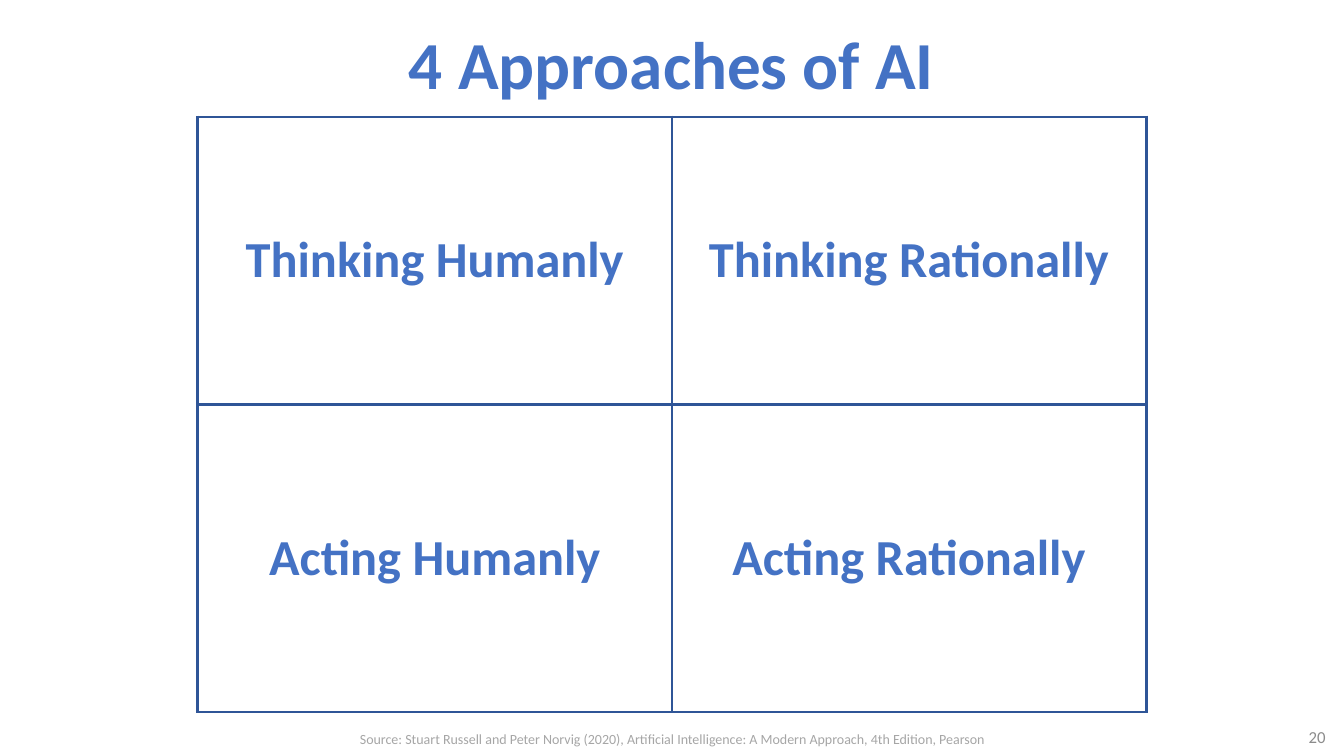
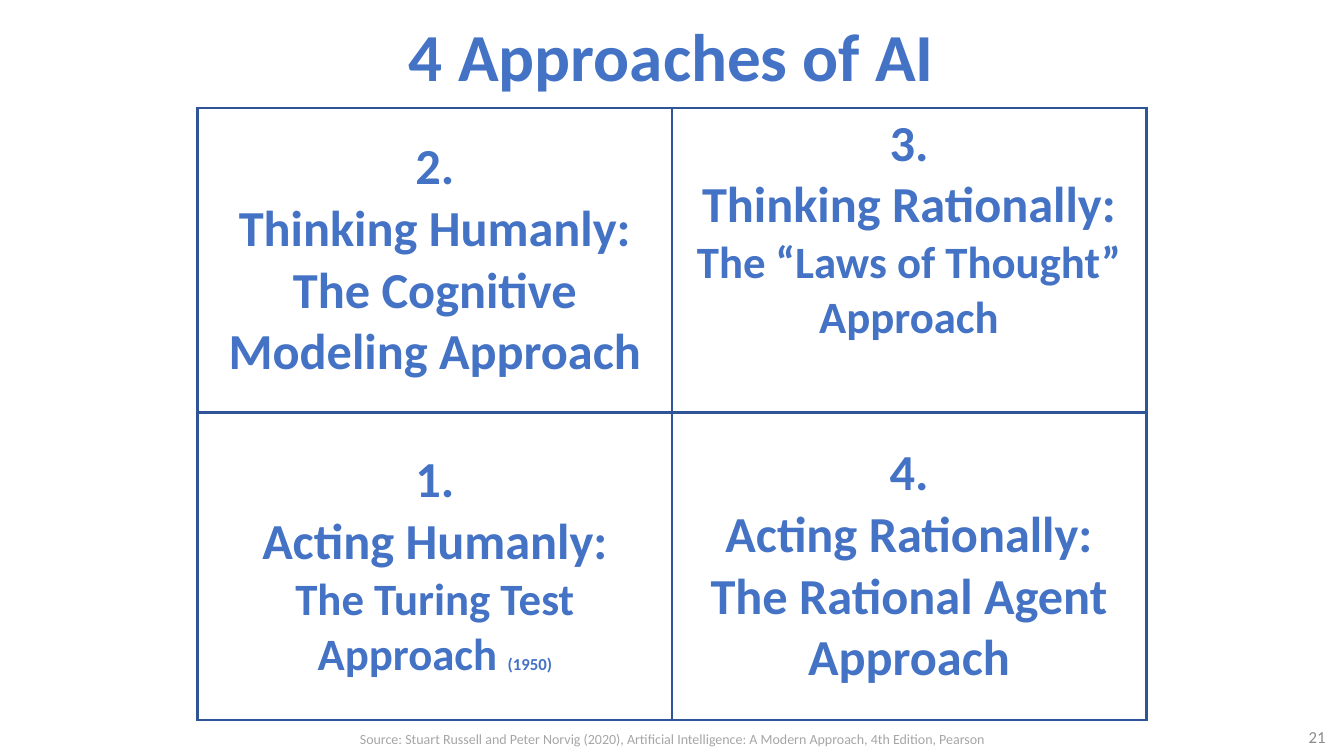
"""Builds two slides on the four approaches of AI."""
from lxml.etree import SubElement
from pptx import Presentation
from pptx.dml.color import RGBColor
from pptx.enum.text import MSO_ANCHOR as Anchor, PP_ALIGN as Align
from pptx.oxml.ns import qn
from pptx.util import Cm, Pt

BLUE, NAVY, GREY, SILVER, WHITE = "4472C4", "2F5597", "8C8C8C", "A6A6A6", "FFFFFF"
FONT = "Calibri"
SLIDE_W, SLIDE_H = 33.87, 19.05
SOURCE = ("Source: Stuart Russell and Peter Norvig (2020), Artificial Intelligence: "
          "A Modern Approach, 4th Edition, Pearson")


def rgb(code):
    return RGBColor.from_string(code)


def write(frame, text, size=36, color=BLUE, bold=True, align=Align.CENTER):
    paragraphs = [text] if isinstance(text, str) else text
    for index, runs in enumerate(paragraphs):
        paragraph = frame.add_paragraph() if index else frame.paragraphs[0]
        paragraph.alignment = align
        for piece in [runs] if isinstance(runs, (str, tuple)) else runs:
            words, run_size = piece if isinstance(piece, tuple) else (piece, size)
            run = paragraph.add_run()
            run.text = words
            run.font.name = FONT
            run.font.size = Pt(run_size)
            run.font.bold = bold
            run.font.color.rgb = rgb(color)


def outline(cell, color=NAVY, width=2.25):
    properties = cell._tc.get_or_add_tcPr()
    for index, side in enumerate(("a:lnL", "a:lnR", "a:lnT", "a:lnB")):
        line = SubElement(properties, qn(side), w=str(Pt(width)))
        fill = SubElement(line, qn("a:solidFill"))
        SubElement(fill, qn("a:srgbClr"), val=color)
        properties.insert(index, line)


class Deck:
    def __init__(self):
        self.prs = Presentation()
        self.prs.slide_width, self.prs.slide_height = Cm(SLIDE_W), Cm(SLIDE_H)
        self.slide = None

    def new_slide(self, number, title_top):
        self.slide = self.prs.slides.add_slide(self.prs.slide_layouts[6])
        self.text("4 Approaches of AI", 5.5, title_top, 22.86, 2.51, size=48)
        self.text(number, 30.99, 18.24, 2.67, 0.66, size=12, color=GREY,
                  bold=False, align=Align.RIGHT)
        self.text(SOURCE, 7.24, 18.29, 19.4, 0.69, anchor=Anchor.TOP,
                  size=10, color=SILVER, bold=False)

    def text(self, text, left, top, width, height, anchor=Anchor.MIDDLE, **style):
        frame = self.slide.shapes.add_textbox(
            Cm(left), Cm(top), Cm(width), Cm(height)).text_frame
        frame.word_wrap = True
        frame.vertical_anchor = anchor
        write(frame, text, **style)

    def matrix(self, top, row_heights, approaches, width=23.9):
        columns = len(approaches[0])
        table = self.slide.shapes.add_table(
            len(approaches), columns, Cm((SLIDE_W - width) / 2), Cm(top),
            Cm(width), Cm(sum(row_heights))).table
        table.first_row = table.horz_banding = False
        for column in table.columns:
            column.width = Cm(width / columns)
        for row, height, texts in zip(table.rows, row_heights, approaches):
            row.height = Cm(height)
            for cell, text in zip(row.cells, texts):
                cell.fill.solid()
                cell.fill.fore_color.rgb = rgb(WHITE)
                cell.vertical_anchor = Anchor.MIDDLE
                outline(cell)
                write(cell.text_frame, text)
        return table


def main():
    deck = Deck()

    deck.new_slide("20", title_top=0.33)
    deck.matrix(2.95, (7.24, 7.75), [
        ["Thinking Humanly", "Thinking Rationally"],
        ["Acting Humanly", "Acting Rationally"],
    ])

    deck.new_slide("21", title_top=0.13)
    detailed = deck.matrix(2.72, (7.67, 7.75), [
        [["2.", "Thinking Humanly: The Cognitive Modeling Approach"],
         ["3.", "Thinking Rationally:", ("The “Laws of Thought” Approach", 32)]],
        [["1.", "Acting Humanly:", [("The Turing Test Approach ", 32), ("(1950)", 12)]],
         ["4.", "Acting Rationally:", "The Rational Agent Approach"]],
    ])
    detailed.cell(0, 1).vertical_anchor = Anchor.TOP

    deck.prs.save("out.pptx")


if __name__ == "__main__":
    main()
